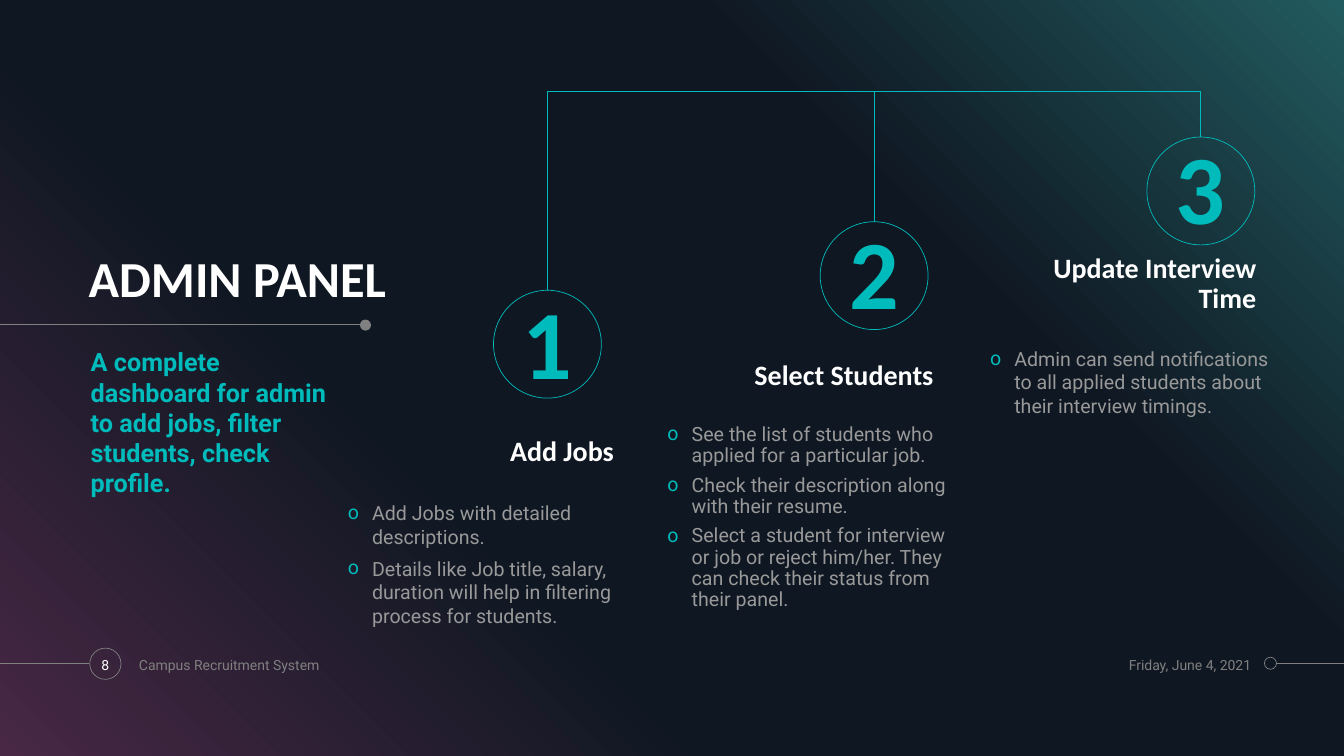
from copy import deepcopy
from dataclasses import dataclass

from lxml import etree
from pptx import Presentation
from pptx import util as u
from pptx.dml.color import RGBColor
from pptx.enum import shapes, text
from pptx.oxml import ns

COLORS = {
    "black": "000000", "plum": "482845", "navy": "0F1722", "pine": "225B5F",
    "teal": "00BBBB", "white": "FFFFFF", "silver": "999999", "gray": "808080",
}
GRADIENT = [(0, "plum"), (0.34, "navy"), (0.69, "navy"), (1, "pine")]
LEFT, CENTER, RIGHT = text.PP_ALIGN.LEFT, text.PP_ALIGN.CENTER, text.PP_ALIGN.RIGHT
TOP, MIDDLE, BOTTOM = text.MSO_ANCHOR.TOP, text.MSO_ANCHOR.MIDDLE, text.MSO_ANCHOR.BOTTOM
RAIL_Y = 0.91
CIRCLE = 1.07


@dataclass
class Style:
    font: str
    size: float
    color: str
    bold: bool = False
    align: text.PP_ALIGN = LEFT
    anchor: text.MSO_ANCHOR = TOP
    spacing: float = 1.0
    before: float = 0
    insets: tuple = (0, 0, 0, 0)
    bullet: bool = False


@dataclass
class Step:
    number: str
    circle_top: float
    inset_top: float
    heading: str
    heading_box: tuple
    items: list
    list_box: tuple
    list_spacing: float = 1.0


@dataclass
class Label:
    words: str
    box: tuple
    style: Style


@dataclass
class Ring:
    box: tuple
    fill: str | None = None
    line: str | None = "gray"


TITLE = Style("Calibri", 36, "white", True, anchor=BOTTOM, spacing=0.9)
SUMMARY = Style("Roboto", 18, "teal", True, before=10)
HEADING = Style("Calibri", 20, "white", True, RIGHT, BOTTOM, 0.9, 6)
FOOTER_INSETS = (0.1, 0.05, 0.1, 0.05)

STEPS = [
    Step("1", 2.88, 0.08, "Add Jobs", (3.45, 4.25, 2.64, 0.39),
         ["Add Jobs with detailed descriptions.",
          "Details like Job title, salary, duration will help in filtering process for students."],
         (3.45, 4.97, 2.83, 1.4)),
    Step("2", 2.2, 0.04, "Select Students", (6.62, 3.49, 2.64, 0.39),
         ["See the list of students who applied for a particular job.",
          "Check their description along with their resume.",
          "Select a student for interview or job or reject him/her. "
          "They can check their status from their panel."],
         (6.62, 4.21, 2.83, 1.95), 0.9),
    Step("3", 1.36, 0.04, "Update Interview Time", (9.82, 2.29, 2.64, 0.83),
         ["Admin can send notifications to all applied students about their interview timings."],
         (9.82, 3.44, 2.83, 2.53)),
]
LABELS = [
    Label("8", (0.85, 6.43, 0.39, 0.33),
          Style("Roboto", 10, "white", align=CENTER, anchor=MIDDLE, insets=FOOTER_INSETS)),
    Label("Campus Recruitment System", (1.28, 6.43, 3.19, 0.33),
          Style("Roboto", 10, "gray", anchor=MIDDLE, insets=FOOTER_INSETS)),
    Label("Friday, June 4, 2021", (10.95, 6.43, 1.46, 0.33),
          Style("Roboto", 10, "gray", align=RIGHT, anchor=MIDDLE)),
]
RINGS = [
    Ring((3.57, 3.17, 0.11, 0.11), "gray", None),
    Ring((0.89, 6.43, 0.31, 0.31)),
    Ring((12.54, 6.52, 0.12, 0.12)),
]
GRAY_LINES = [(0, 3.22, 3.58, 3.22), (12.66, 6.58, 13.33, 6.58), (0, 6.58, 0.88, 6.58)]


def rgb(name: str) -> RGBColor:
    return RGBColor.from_string(COLORS[name])


def inches(values: tuple) -> list:
    return [u.Inches(v) for v in values]


def apply(obj, values: dict) -> None:
    for name, value in values.items():
        setattr(obj, name, value)


def place(sp, box: tuple) -> None:
    apply(sp, dict(zip(("left", "top", "width", "height"), inches(box))))


def add_bullet(p) -> None:
    pPr = p._p.get_or_add_pPr()
    apply_indent = {"marL": u.Inches(0.24), "indent": u.Inches(-0.24)}
    for name, value in apply_indent.items():
        pPr.set(name, str(int(value)))
    color = etree.SubElement(pPr, ns.qn("a:buClr"))
    etree.SubElement(color, ns.qn("a:srgbClr"), val=COLORS["teal"])
    etree.SubElement(pPr, ns.qn("a:buFont"), typeface="Roboto")
    etree.SubElement(pPr, ns.qn("a:buChar"), char="o")


def write(sp, paragraphs: list, style: Style) -> None:
    tf = sp.text_frame
    margins = ("margin_left", "margin_top", "margin_right", "margin_bottom")
    apply(tf, {"word_wrap": True, "auto_size": text.MSO_AUTO_SIZE.NONE,
               "vertical_anchor": style.anchor, **dict(zip(margins, inches(style.insets)))})
    for i, words in enumerate(paragraphs):
        p = tf.paragraphs[0] if i == 0 else tf.add_paragraph()
        apply(p, {"alignment": style.align, "line_spacing": style.spacing,
                  "space_before": u.Pt(style.before), "space_after": u.Pt(0)})
        if style.bullet:
            add_bullet(p)
        r = p.add_run()
        r.text = words
        apply(r.font, {"name": style.font, "size": u.Pt(style.size), "bold": style.bold})
        r.font.color.rgb = rgb(style.color)


def add_text(s, words: str, box: tuple, style: Style) -> None:
    write(s.shapes.add_textbox(*inches(box)), [words], style)


def add_line(s, ends: tuple, color: str):
    line = s.shapes.add_connector(shapes.MSO_CONNECTOR.STRAIGHT, *inches(ends))
    line.line.color.rgb = rgb(color)
    line.line.width = u.Pt(0.5)
    etree.SubElement(line._element.spPr, ns.qn("a:effectLst"))
    return line


def add_ring(s, ring: Ring):
    sp = s.shapes.add_shape(shapes.MSO_SHAPE.OVAL, *inches(ring.box))
    sp.shadow.inherit = False
    if ring.fill:
        sp.fill.solid()
        sp.fill.fore_color.rgb = rgb(ring.fill)
    else:
        sp.fill.background()
    if ring.line:
        sp.line.color.rgb = rgb(ring.line)
        sp.line.width = u.Pt(0.5)
    else:
        sp.line.fill.background()
    return sp


def add_backdrop(s, width: int, height: int) -> None:
    s.background.fill.solid()
    s.background.fill.fore_color.rgb = rgb("black")
    sp = s.shapes.add_shape(shapes.MSO_SHAPE.RECTANGLE, 0, 0, width, height)
    sp.shadow.inherit = False
    sp.line.fill.background()
    sp.fill.gradient()
    sp.fill.gradient_angle = 45
    stops = sp._element.spPr.find(".//" + ns.qn("a:gsLst"))
    for _ in GRADIENT[2:]:
        stops.append(deepcopy(stops[0]))
    for stop, (position, color) in zip(sp.fill.gradient_stops, GRADIENT):
        stop.position = position
        stop.color.rgb = rgb(color)
    s.shapes._spTree.insert(2, sp._element)


def add_step(s, step: Step, center: float, holder) -> None:
    circle = add_ring(s, Ring((center - CIRCLE / 2, step.circle_top, CIRCLE, CIRCLE), line="teal"))
    write(circle, [step.number], Style("Calibri", 70, "teal", True, CENTER, MIDDLE, 0.9, 10,
                                       (0, step.inset_top, 0, 0)))
    drop = add_line(s, (center, step.circle_top, center, RAIL_Y), "teal")
    drop.begin_connect(circle, 0)
    add_text(s, step.heading, step.heading_box, HEADING)
    place(holder, step.list_box)
    write(holder, step.items, Style("Roboto", 14, "silver", spacing=step.list_spacing,
                                    before=6, bullet=True))


def main() -> None:
    prs = Presentation()
    apply(prs, {"slide_width": u.Inches(13.33), "slide_height": u.Inches(7.5)})
    s = prs.slides.add_slide(prs.slide_layouts[4])
    title, summary, *holders = s.placeholders
    add_backdrop(s, prs.slide_width, prs.slide_height)
    for ends in GRAY_LINES:
        add_line(s, ends, "gray")
    for ring in RINGS:
        add_ring(s, ring)
    place(title, (0.88, 1.65, 3.09, 1.41))
    write(title, ["ADMIN PANEL"], TITLE)
    place(summary, (0.9, 3.44, 2.42, 2.29))
    write(summary, ["A complete dashboard for admin to add jobs, filter students, check profile."],
          SUMMARY)
    centers = [5.43 + 3.24 * i for i in range(len(STEPS))]
    add_line(s, (centers[0], RAIL_Y, centers[-1], RAIL_Y), "teal")
    for step, center, holder in zip(STEPS, centers, holders):
        add_step(s, step, center, holder)
    for label in LABELS:
        add_text(s, label.words, label.box, label.style)
    prs.save("out.pptx")


if __name__ == "__main__":
    main()
